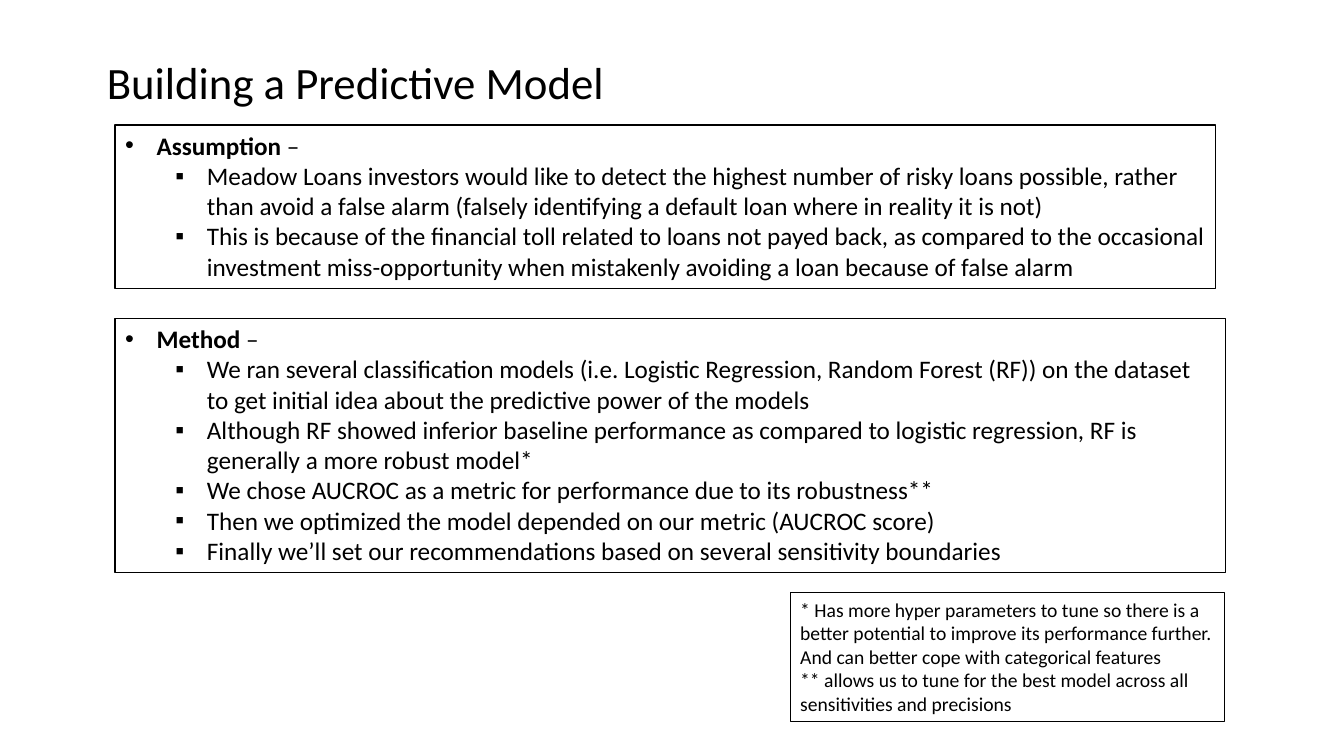
from lxml.etree import SubElement
from pptx import Presentation
from pptx.dml.color import RGBColor
from pptx.enum.shapes import MSO_SHAPE
from pptx.enum.text import MSO_ANCHOR, MSO_AUTO_SIZE, PP_ALIGN
from pptx.oxml.ns import qn
from pptx.util import Pt

BLACK = RGBColor(0x00, 0x00, 0x00)
WHITE = RGBColor(0xFF, 0xFF, 0xFF)
FONT = "Calibri"
HANGING = 22.5
LEVEL_STEP = 36
BULLETS = ("•", "▪")

ASSUMPTIONS = (
    "Meadow Loans investors would like to detect the highest number of risky loans possible, "
    "rather than avoid a false alarm (falsely identifying a default loan where in reality "
    "it is not)",
    "This is because of the financial toll related to loans not payed back, as compared to "
    "the occasional investment miss-opportunity when mistakenly avoiding a loan because of "
    "false alarm",
)
METHOD_STEPS = (
    "We ran several classification models (i.e. Logistic Regression, Random Forest (RF)) on "
    "the dataset to get initial idea about the predictive power of the models",
    "Although RF showed inferior baseline performance as compared to logistic regression, "
    "RF is generally a more robust model*",
    "We chose AUCROC as a metric for performance due to its robustness**",
    "Then we optimized the model depended on our metric (AUCROC score)",
    "Finally we’ll set our recommendations based on several sensitivity boundaries",
)
FOOTNOTES = (
    "* Has more hyper parameters to tune so there is a better potential to improve its "
    "performance further. And can better cope with categorical features",
    "** allows us to tune for the best model across all sensitivities and precisions",
)


def place(box, left, top, width, height):
    box.left, box.top = Pt(left), Pt(top)
    box.width, box.height = Pt(width), Pt(height)


def prepare_frame(box, anchor):
    frame = box.text_frame
    frame.word_wrap = True
    frame.auto_size = MSO_AUTO_SIZE.NONE
    frame.vertical_anchor = anchor
    return frame


def outline(box):
    box.fill.solid()
    box.fill.fore_color.rgb = WHITE
    box.line.color.rgb = BLACK
    box.line.width = Pt(1)


def style(para, size):
    para.alignment = PP_ALIGN.LEFT
    para.space_before = Pt(0)
    para.font.name = FONT
    para.font.size = Pt(size)
    para.font.color.rgb = BLACK


def add_bullet(para, level):
    """Give the paragraph its level's bullet; call before its font is set."""
    para.level = level
    properties = para._p.get_or_add_pPr()
    properties.set("marL", str(Pt(HANGING + LEVEL_STEP * level)))
    properties.set("indent", str(-Pt(HANGING)))
    SubElement(properties, qn("a:buFont")).set("typeface", "Arial")
    SubElement(properties, qn("a:buChar")).set("char", BULLETS[level])


def fill_title(title, text):
    place(title, 69.12, 35.28, 828, 46.08)
    frame = prepare_frame(title, MSO_ANCHOR.MIDDLE)
    frame.text = text
    style(frame.paragraphs[0], 32)


def fill_list(body, heading, items, bounds):
    place(body, *bounds)
    outline(body)
    frame = prepare_frame(body, MSO_ANCHOR.TOP)
    para = frame.paragraphs[0]
    add_bullet(para, 0)
    style(para, 18)
    for text, bold in ((heading + " ", True), ("–", False)):
        span = para.add_run()
        span.text = text
        span.font.bold = bold
    for item in items:
        para = frame.add_paragraph()
        para.text = item
        add_bullet(para, 1)
        style(para, 18)


def add_footnotes(page, notes, bounds):
    box = page.shapes.add_shape(MSO_SHAPE.RECTANGLE, *map(Pt, bounds))
    box.shadow.inherit = False
    outline(box)
    frame = prepare_frame(box, MSO_ANCHOR.TOP)
    frame.text = "\n".join(notes)
    for para in frame.paragraphs:
        style(para, 14)


def main():
    deck = Presentation()
    deck.slide_width, deck.slide_height = Pt(960), Pt(540)
    two_content = deck.slide_layouts[3]
    page = deck.slides.add_slide(two_content)
    title, assumption, method = page.placeholders
    fill_title(title, "Building a Predictive Model")
    fill_list(assumption, "Assumption", ASSUMPTIONS, (82.08, 89.28, 786.24, 116.64))
    fill_list(method, "Method", METHOD_STEPS, (82.08, 227.52, 793.44, 181.44))
    add_footnotes(page, FOOTNOTES, (564.48, 423.36, 310.32, 92.16))
    deck.save("out.pptx")


if __name__ == "__main__":
    main()
